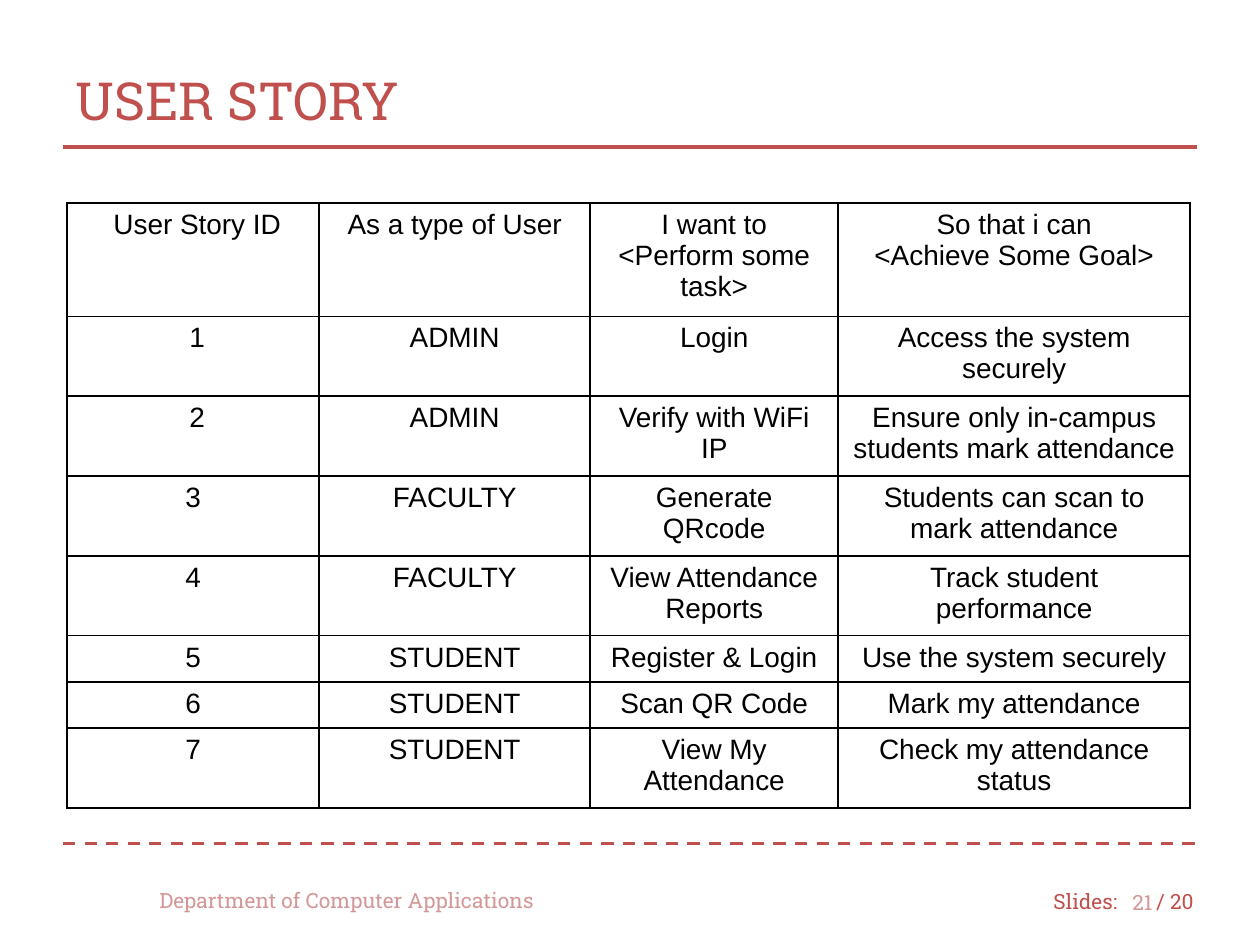
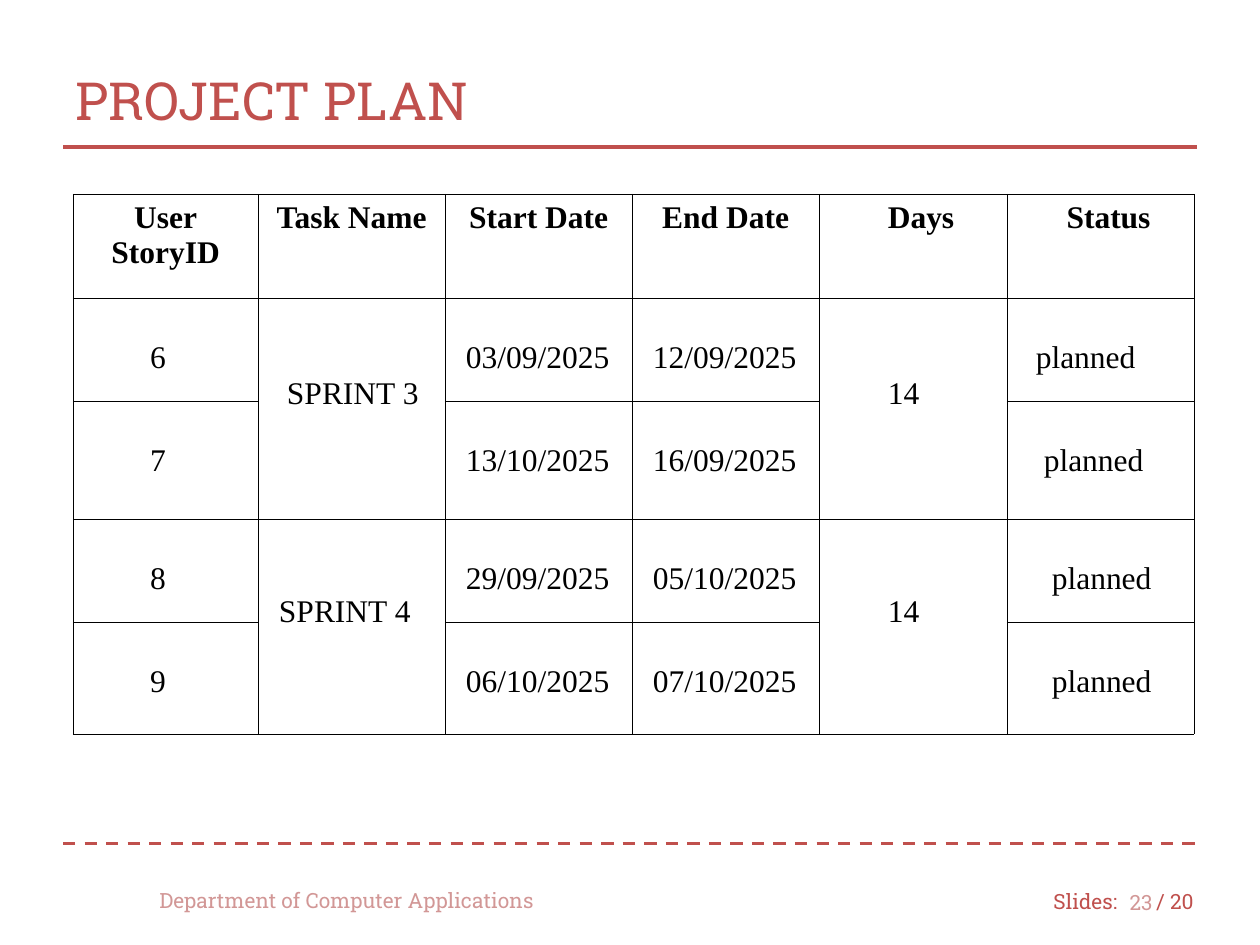
from dataclasses import dataclass

from lxml import etree
from pptx import Presentation
from pptx import util as u
from pptx.dml.color import RGBColor
from pptx.enum import dml, shapes, text
from pptx.oxml.ns import qn

SCALE = 914400 / 126


@dataclass(frozen=True)
class Theme:
    red: str = "C0504D"
    pale: str = "D29796"
    ink: str = "000000"
    paper: str = "FFFFFF"
    slab: str = "Roboto Slab"
    sans: str = "Arial"
    serif: str = "Times New Roman"
    title: int = 30
    foot: int = 12
    story: int = 16
    plan: int = 18
    rule: float = 1.75


LOOK = Theme()
LEFT, CENTER, RIGHT = text.PP_ALIGN.LEFT, text.PP_ALIGN.CENTER, text.PP_ALIGN.RIGHT
MIDDLE = text.MSO_ANCHOR.MIDDLE

INSET = 13
STEP = 8
LINE = 36

STORIES = [
    [("User Story ID", 1), "As a type of User",
     "I want to\n<Perform some task>", "So that i can\n<Achieve Some Goal>"],
    [("1", 1), "ADMIN", "Login", "Access the system securely"],
    [("2", 1), "ADMIN", "Verify with WiFi IP",
     "Ensure only in-campus students mark attendance"],
    ["3", "FACULTY", "Generate QRcode", "Students can scan to mark attendance"],
    ["4", "FACULTY", "View Attendance Reports", "Track student performance"],
    ["5", "STUDENT", "Register & Login", "Use the system securely"],
    ["6", "STUDENT", "Scan QR Code", "Mark my attendance"],
    ["7", "STUDENT", "View My Attendance", "Check my attendance status"],
]

HEADS = ["User\nStoryID", "Task Name", "Start Date", "End Date",
         ("Days", 2), ("Status", 2)]
TASKS = [
    ("6", ("SPRINT 3", 2), "03/09/2025", "12/09/2025", ("14", 7), 2),
    ("7", None, "13/10/2025", "16/09/2025", None, 3),
    ("8", ("SPRINT 4", 1), "29/09/2025", "05/10/2025", ("14", 7), 4),
    ("9", None, "06/10/2025", "07/10/2025", None, 4),
]


def px(num):
    return u.Emu(round(num * SCALE))


def put(item, form):
    for name, value in form.items():
        setattr(item, name, value)


def ink(frame, face, size, color, align=LEFT, bold=False):
    for para in frame.paragraphs:
        para.alignment = align
        for run in para.runs:
            put(run.font, {"name": face, "size": u.Pt(size), "bold": bold})
            run.font.color.rgb = RGBColor.from_string(color)


def label(slide, words, box, size, color, align=LEFT):
    frame = slide.shapes.add_textbox(*map(px, box)).text_frame
    put(frame, {"text": words, "word_wrap": True, "vertical_anchor": MIDDLE})
    ink(frame, LOOK.slab, size, color, align)


def rule(slide, top, dash=None):
    line = slide.shapes.add_connector(
        shapes.MSO_CONNECTOR.STRAIGHT, px(63), px(top), px(1197), px(top))
    put(line.line, {"width": u.Pt(LOOK.rule), "dash_style": dash})
    line.line.color.rgb = RGBColor.from_string(LOOK.red)
    etree.SubElement(line.element.spPr, qn("a:effectLst"))


def page(deck, title, number):
    slide = deck.slides.add_slide(deck.slide_layouts[6])
    label(slide, "Slides:", (1041, 877, 95, 49), LOOK.foot, LOOK.red)
    label(slide, "/ 20", (1144, 877, 72, 49), LOOK.foot, LOOK.red)
    rule(slide, 844, dml.MSO_LINE.DASH)
    rule(slide, 147)
    label(slide, title, (63, 42, 1134, 115), LOOK.title, LOOK.red)
    label(slide, "Department of Computer Applications",
          (147, 876, 420, 49), LOOK.foot, LOOK.pale)
    label(slide, number, (1113, 878, 52, 49), LOOK.foot, LOOK.pale, RIGHT)
    return slide


def border(cell, width):
    for side in ("a:lnL", "a:lnR", "a:lnT", "a:lnB"):
        edge = etree.SubElement(cell._tc.get_or_add_tcPr(), qn(side),
                                w=str(u.Pt(width)))
        fill = etree.SubElement(edge, qn("a:solidFill"))
        etree.SubElement(fill, qn("a:srgbClr"), val=LOOK.ink)


def grid(slide, left, top, cols, rows, width, fill=None):
    table = slide.shapes.add_table(
        len(rows), len(cols), px(left), px(top), px(sum(cols)), px(sum(rows))).table
    put(table, {"first_row": False, "horz_banding": False})
    for col, size in zip(table.columns, cols):
        col.width = px(size)
    for row, size in zip(table.rows, rows):
        row.height = px(size)
    for cell in table.iter_cells():
        border(cell, width)
        if fill:
            cell.fill.solid()
            cell.fill.fore_color.rgb = RGBColor.from_string(fill)
        else:
            cell.fill.background()
    return table


def write(cell, entry, face, size, align=CENTER, bold=False):
    words, steps = entry if isinstance(entry, tuple) else (entry, 0)
    cell.text_frame.text = words
    cell.margin_left = px(INSET + STEP * steps)
    ink(cell.text_frame, face, size, LOOK.ink, align, bold)


def story(deck):
    slide = page(deck, "USER STORY", "21")
    table = grid(slide, 67, 203, (252, 271, 248, 352),
                 (106, 75, 75, 79, 75, 44, 44, 75), 0.96)
    for row, entries in enumerate(STORIES):
        for col, entry in enumerate(entries):
            write(table.cell(row, col), entry, LOOK.sans, LOOK.story)


def plan(deck):
    slide = page(deck, "PROJECT PLAN", "23")
    table = grid(slide, 73, 194, (185, 187, 187, 187, 188, 187),
                 (104, 103, 118, 103, 112), 0.06, LOOK.paper)
    for col, entry in enumerate(HEADS):
        write(table.cell(0, col), entry, LOOK.serif, LOOK.plan, bold=True)
    for row, (story_id, sprint, start, end, days, steps) in enumerate(TASKS, 1):
        entries = ((story_id, 8), sprint, (start, 1), (end, 1), days,
                   ("planned", steps))
        for col, entry in enumerate(entries):
            if entry is None:
                continue
            cell = table.cell(row, col)
            write(cell, entry, LOOK.serif, LOOK.plan, LEFT)
            if col in (1, 4):
                cell.merge(table.cell(row + 1, col))
                put(cell, {"vertical_anchor": MIDDLE, "margin_bottom": px(LINE)})
            else:
                cell.margin_top = px(6 + LINE)


def main():
    deck = Presentation()
    put(deck, {"slide_width": px(1260), "slide_height": px(945)})
    story(deck)
    plan(deck)
    deck.save("out.pptx")


if __name__ == "__main__":
    main()
